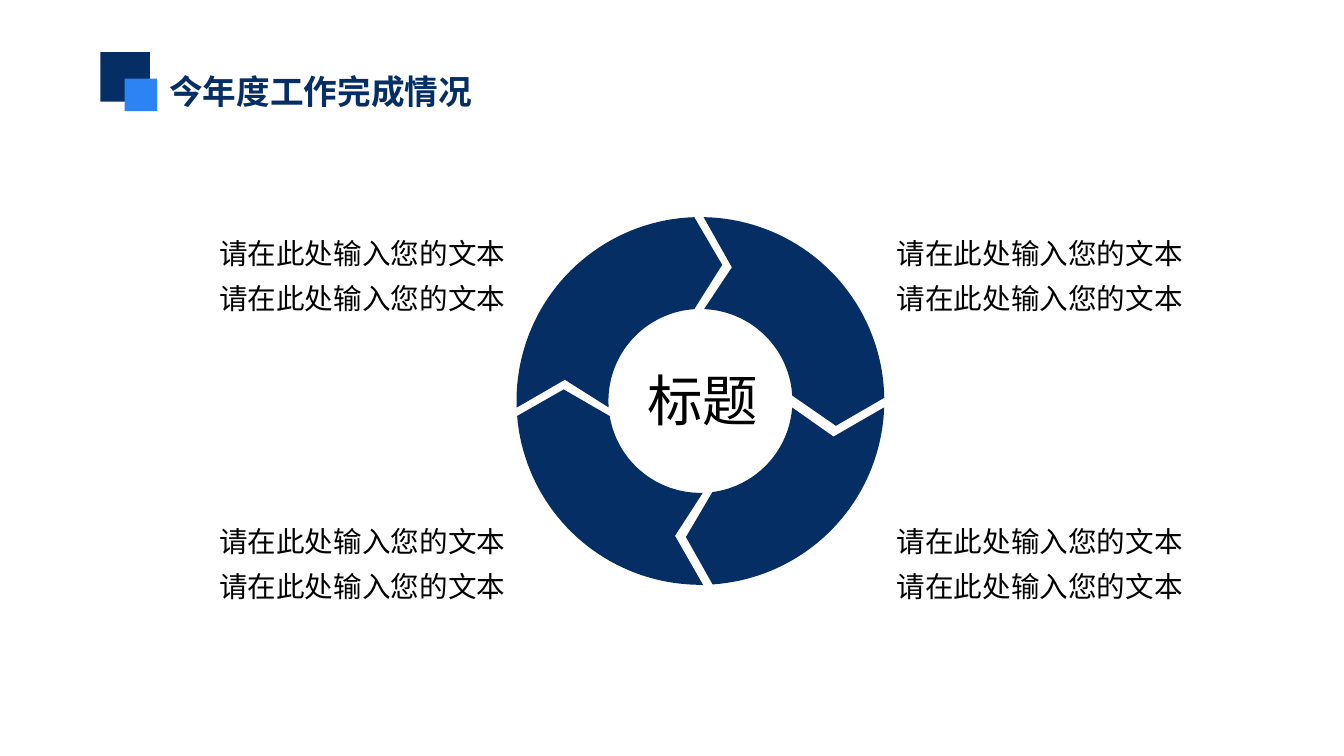
from dataclasses import dataclass
from math import cos, radians, sin

from lxml.etree import SubElement
from pptx import Presentation
from pptx.dml.color import RGBColor
from pptx.enum.shapes import MSO_SHAPE
from pptx.enum.text import MSO_ANCHOR, MSO_AUTO_SIZE, PP_ALIGN
from pptx.oxml.ns import qn
from pptx.util import Inches, Pt


@dataclass(frozen=True)
class Theme:
    navy: RGBColor = RGBColor(0x05, 0x2E, 0x65)
    blue: RGBColor = RGBColor(0x2D, 0x83, 0xF4)
    black: RGBColor = RGBColor(0, 0, 0)
    font: str = "Noto Sans CJK SC"
    title_size: Pt = Pt(20)
    center_size: Pt = Pt(33)
    body_size: Pt = Pt(17)


theme = Theme()


def write_text(shape, lines, size, color, alignment, frame_format, bold=False, spacing=1.0):
    text_frame = shape.text_frame
    for name, value in frame_format.items():
        setattr(text_frame, name, value)
    text_frame.text = "\n".join(lines)
    for paragraph in text_frame.paragraphs:
        paragraph.alignment = alignment
        paragraph.line_spacing = spacing
        run = paragraph.runs[0]
        run.font.color.rgb = color
        for name, value in {"size": size, "bold": bold, "name": theme.font}.items():
            setattr(run.font, name, value)
        SubElement(run.font._rPr, qn("a:ea"), typeface=theme.font)


def paint(shape, color):
    shape.shadow.inherit = False
    shape.fill.solid()
    shape.fill.fore_color.rgb = color
    shape.line.fill.background()


presentation = Presentation()
presentation.slide_width = Inches(11.11)
presentation.slide_height = Inches(6.25)
slide = presentation.slides.add_slide(presentation.slide_layouts[5])

# Title
title = slide.shapes.title
title_place = {"left": 1.3, "top": 0.53, "width": 2.83, "height": 0.44}
for name, value in title_place.items():
    setattr(title, name, Inches(value))
title_format = {
    "word_wrap": False,
    "auto_size": MSO_AUTO_SIZE.NONE,
    "vertical_anchor": MSO_ANCHOR.MIDDLE,
}
write_text(title, ["今年度工作完成情况"], theme.title_size, theme.navy,
           PP_ALIGN.LEFT, title_format, bold=True)

# Overlapping squares beside the title
for left, top, side, color in [(0.83, 0.43, 0.41, theme.navy), (1.03, 0.65, 0.27, theme.blue)]:
    square = slide.shapes.add_shape(
        MSO_SHAPE.RECTANGLE, Inches(left), Inches(top), Inches(side), Inches(side))
    paint(square, color)

# Ring of four arrows; angles run clockwise in degrees from the top
center_x, center_y = 5.79, 3.315
outer_radius, inner_radius = 1.52, 0.76
arc_steps = 40
ring_arrows = [
    # outer arc, tip, inner arc, notch
    ((1, 89), (6.91, 3.52), (86.6, 2.3), (6.05, 2.21)),
    ((92, 176.2), (5.67, 4.44), (172.5, 94.1), (6.89, 3.61)),
    ((179.2, 265.3), (4.66, 3.22), (260.5, 178.5), (5.58, 4.43)),
    ((267.9, 358.1), (5.97, 2.19), (356.2, 265.9), (4.67, 3.14)),
]
for outer_arc, tip, inner_arc, notch in ring_arrows:
    outline = []
    for radius, (start, end), corner in [(outer_radius, outer_arc, tip),
                                         (inner_radius, inner_arc, notch)]:
        for step in range(arc_steps + 1):
            angle = radians(start + (end - start) * step / arc_steps)
            outline.append((center_x + radius * sin(angle), center_y - radius * cos(angle)))
        outline.append(corner)
    points = [(Inches(x), Inches(y)) for x, y in outline]
    builder = slide.shapes.build_freeform(*points[0])
    builder.add_line_segments(points[1:], close=True)
    paint(builder.convert_to_shape(), theme.navy)

# Heading in the ring
heading = slide.shapes.add_textbox(Inches(5.09), Inches(2.99), Inches(1.44), Inches(0.64))
heading_format = {
    "word_wrap": True,
    "margin_left": Inches(0.08),
    "margin_right": Inches(0.08),
    "margin_top": Inches(0.04),
    "margin_bottom": Inches(0.04),
}
write_text(heading, ["标题"], theme.center_size, theme.black, PP_ALIGN.CENTER, heading_format)

# Captions at the four corners
caption_format = {"word_wrap": True, "vertical_anchor": MSO_ANCHOR.MIDDLE}
for top in (1.76, 4.14):
    for left in (1.49, 7.09):
        caption = slide.shapes.add_textbox(Inches(left), Inches(top), Inches(3.01), Inches(0.95))
        write_text(caption, ["请在此处输入您的文本"] * 2, theme.body_size, theme.black,
                   PP_ALIGN.CENTER, caption_format, spacing=1.3)

presentation.save("out.pptx")
